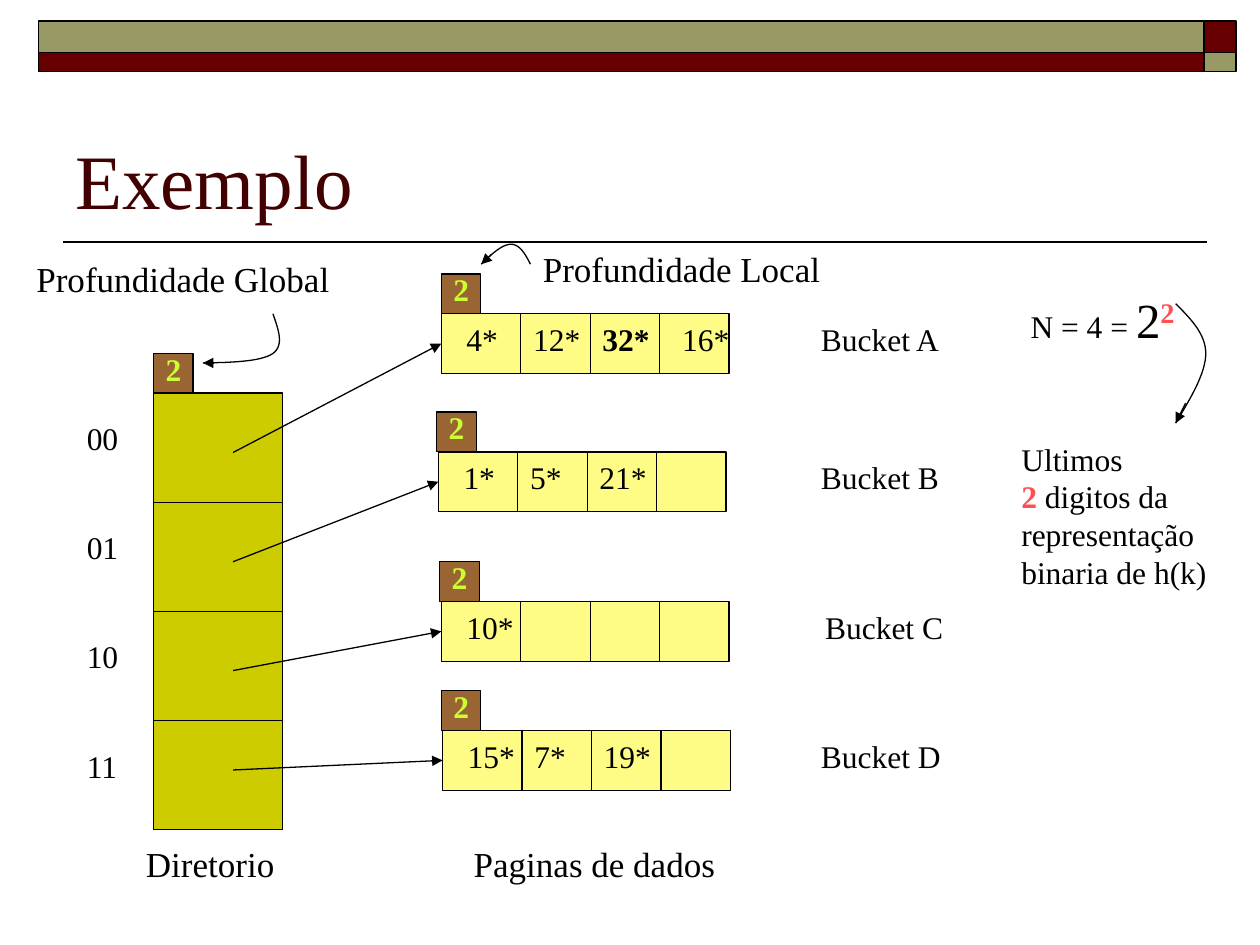
from lxml import etree
from pptx import Presentation
from pptx.dml.color import RGBColor
from pptx.enum.shapes import MSO_CONNECTOR, MSO_SHAPE
from pptx.enum.text import MSO_ANCHOR, MSO_AUTO_SIZE, PP_ALIGN
from pptx.oxml.ns import qn
from pptx.util import Pt

RECT = MSO_SHAPE.RECTANGLE
STRAIGHT = MSO_CONNECTOR.STRAIGHT
TOP, MIDDLE, BOTTOM = MSO_ANCHOR.TOP, MSO_ANCHOR.MIDDLE, MSO_ANCHOR.BOTTOM
LEFT, CENTER = PP_ALIGN.LEFT, PP_ALIGN.CENTER
FIT_SHAPE = MSO_AUTO_SIZE.SHAPE_TO_FIT_TEXT
LEFT_SIDE = 1

THEME = {
    "font": "Times New Roman",
    "ink": "000000", "title": "420000", "maroon": "660000", "olive": "999966",
    "directory": "CCCC00", "page": "FFFC85", "badge": "996633",
    "depth": "CCFF33", "accent": "FF5050",
    "title_size": 44, "power_size": 28, "caption_size": 20, "body_size": 18,
    "rule": 1, "thin": 0.75,
}
BODY, CAPTION = THEME["body_size"], THEME["caption_size"]

# Header bands: left, top, width, height, colour
BANDS = [
    (688.2, 12, 18, 18, "maroon"),
    (22, 12, 666.2, 18, "olive"),
    (22, 30, 666.2, 11, "maroon"),
    (688.2, 30, 18, 11, "olive"),
]

# Directory entries: code, height at which the pointer starts
DIRECTORY = [("00", 258.6), ("01", 321), ("10", 383.2), ("11", 440)]
DIR_LEFT, DIR_TOP, DIR_WIDTH, ROW_HEIGHT = 87.8, 224.6, 73.7, 62.4
POINTER_X = 133.2

# Buckets: name, left, top, badge left, name left, keys
BUCKETS = [
    ("Bucket A", 252.2, 179.2, 252.2, 462, ["4*", "12*", "32*", "16*"]),
    ("Bucket B", 250.5, 258.2, 249.6, 462, ["1*", "5*", "21*"]),
    ("Bucket C", 252.2, 343.7, 251.3, 464.4, ["10*"]),
    ("Bucket D", 252.9, 417.4, 252.2, 462, ["15*", "7*", "19*"]),
]
NEW_KEY = "32*"
PAGE_WIDTH, PAGE_HEIGHT = 164.4, 34.2
FIRST_DIVIDER, DIVIDER_STEP = 45.4, 39.7
KEY_OFFSETS = (7.3, 45.4, 85, 130.5)
BADGE_WIDTH, BADGE_HEIGHT = 22.6, 22.7
DEPTH = "2"

# Captions: text, left, top, width
CAPTIONS = [
    ("Diretorio", 76.3, 478, 90),
    ("Profundidade Global", 13.7, 143.5, 184),
    ("Paginas de dados", 263.6, 478, 154),
    ("Profundidade Local", 303.1, 137.7, 175),
]

# Curved arrows: start, Bezier segments, start of the arrowhead
CURVES = [
    ((156, 179.3), [((159, 188), (162.6, 197.3), (156, 202)),
                    ((149.4, 206.6), (132.6, 207.2), (116, 207.4))], (121.7, 207.4)),
    ((303.1, 151), [((300.3, 145.3), (297, 139.6), (292, 139.6)),
                    ((287, 139.6), (280.8, 145.3), (275, 151))], (280.8, 145.4)),
    ((671.8, 173.5), [((680.4, 182.2), (689, 190.8), (689, 202)),
                      ((689, 213.2), (680.4, 227.5), (671.8, 241.8))], (677.5, 230.4)),
]
CURVE_STEPS = 16

ACCENT = {"color": "accent", "bold": True}
FORMULA = [[("N = 4 = ", {}),
            ("2", {"size": THEME["power_size"]}),
            ("2", {"size": THEME["power_size"], "superscript": True, **ACCENT})]]
EXPLANATION = [[("Ultimos", {})],
               [("2 ", ACCENT), ("digitos da", {})],
               [("representação", {})],
               [("binaria de h(k)", {})]]


def rgb(name):
    return RGBColor.from_string(THEME[name])


def write(frame, content, size=BODY, color="ink", bold=False, align=LEFT,
          anchor=TOP, insets=(7.2, 3.6, 7.2, 3.6), wrap=False):
    """Fill a frame with a string or with paragraphs of (text, format) runs."""
    frame.word_wrap = wrap
    frame.vertical_anchor = anchor
    (frame.margin_left, frame.margin_top,
     frame.margin_right, frame.margin_bottom) = map(Pt, insets)
    paragraphs = [[(content, {})]] if isinstance(content, str) else content
    for i, runs in enumerate(paragraphs):
        paragraph = frame.add_paragraph() if i else frame.paragraphs[0]
        paragraph.alignment = align
        for text, style in runs:
            run = paragraph.add_run()
            run.text = text
            run.font.name = THEME["font"]
            run.font.size = Pt(style.get("size", size))
            run.font.bold = style.get("bold", bold)
            run.font.color.rgb = rgb(style.get("color", color))
            if style.get("superscript"):
                run.font._element.set("baseline", "30000")


def add_label(slide, content, left, top, width, height=28.8, **style):
    box = slide.shapes.add_textbox(Pt(left), Pt(top), Pt(width), Pt(height))
    write(box.text_frame, content, **style)
    if not style.get("wrap"):
        box.text_frame.auto_size = FIT_SHAPE


def add_box(slide, left, top, width, height, fill, weight=THEME["thin"]):
    box = slide.shapes.add_shape(RECT, Pt(left), Pt(top), Pt(width), Pt(height))
    box.shadow.inherit = False
    box.fill.solid()
    box.fill.fore_color.rgb = rgb(fill)
    box.line.color.rgb = rgb("ink")
    box.line.width = Pt(weight)
    return box


def add_line(slide, start, end, weight=THEME["thin"], arrow=False):
    line = slide.shapes.add_connector(STRAIGHT, *map(Pt, start + end))
    line.line.color.rgb = rgb("ink")
    line.line.width = Pt(weight)
    if arrow:
        etree.SubElement(line.line._get_or_add_ln(), qn("a:tailEnd"), type="triangle")
    etree.SubElement(line._element.spPr, qn("a:effectLst"))
    return line


def bezier_points(start, segments):
    for c1, c2, end in segments:
        for step in range(1, CURVE_STEPS + 1):
            t = step / CURVE_STEPS
            u = 1 - t
            yield tuple(Pt(u**3 * a + 3 * u * u * t * b + 3 * u * t * t * c + t**3 * d)
                        for a, b, c, d in zip(start, c1, c2, end))
        start = end


def add_curved_arrow(slide, start, segments, head_start):
    builder = slide.shapes.build_freeform(*map(Pt, start))
    builder.add_line_segments(list(bezier_points(start, segments)), close=False)
    curve = builder.convert_to_shape()
    curve.shadow.inherit = False
    curve.fill.background()
    curve.line.color.rgb = rgb("ink")
    curve.line.width = Pt(THEME["thin"])
    add_line(slide, head_start, segments[-1][-1], arrow=True)


def add_depth_badge(slide, left, base):
    badge = add_box(slide, left, base - BADGE_HEIGHT, BADGE_WIDTH, BADGE_HEIGHT, "badge")
    write(badge.text_frame, DEPTH, color="depth", bold=True, align=CENTER,
          anchor=MIDDLE, insets=(0, 0, 0, 5.4))


def add_directory(slide):
    add_box(slide, DIR_LEFT, DIR_TOP, DIR_WIDTH, ROW_HEIGHT * len(DIRECTORY), "directory")
    for i, (code, _) in enumerate(DIRECTORY):
        row_top = DIR_TOP + i * ROW_HEIGHT
        if i:
            add_line(slide, (DIR_LEFT, row_top), (DIR_LEFT + DIR_WIDTH, row_top))
        add_label(slide, code, 42.5, row_top + 11.3, 34)
    add_depth_badge(slide, DIR_LEFT, DIR_TOP)


def add_bucket(slide, name, left, top, badge_left, name_left, keys):
    page = add_box(slide, left, top, PAGE_WIDTH, PAGE_HEIGHT, "page")
    for i in range(3):
        x = left + FIRST_DIVIDER + i * DIVIDER_STEP
        add_line(slide, (x, top), (x, top + PAGE_HEIGHT))
    for key, offset in zip(keys, KEY_OFFSETS):
        add_label(slide, key, left + offset, top, 15.4 + 9 * len(key), bold=key == NEW_KEY)
    add_depth_badge(slide, badge_left, top)
    add_label(slide, name, name_left, top, 85)
    return page


def main():
    deck = Presentation()
    deck.slide_width, deck.slide_height = Pt(720), Pt(540)
    slide = deck.slides.add_slide(deck.slide_layouts[6])

    add_line(slide, (689.8, 138.2), (36, 138.2), weight=THEME["rule"])
    for *place, color in BANDS:
        add_box(slide, *place, color, weight=THEME["rule"])
    add_label(slide, "Exemplo", 36, 42, 648, 90, size=THEME["title_size"],
              color="title", anchor=BOTTOM, wrap=True)

    add_directory(slide)
    pages = [add_bucket(slide, *bucket) for bucket in BUCKETS]
    for (_, start_y), page, bucket in zip(DIRECTORY, pages, BUCKETS):
        end = (bucket[1], bucket[2] + PAGE_HEIGHT / 2)
        pointer = add_line(slide, (POINTER_X, start_y), end, arrow=True)
        pointer.end_connect(page, LEFT_SIDE)

    for text, left, top, width in CAPTIONS:
        add_label(slide, text, left, top, width, 31.5, size=CAPTION)
    for curve in CURVES:
        add_curved_arrow(slide, *curve)
    add_label(slide, FORMULA, 581.8, 162, 100, 41)
    add_label(slide, EXPLANATION, 576.5, 247.7, 123, 93.6)

    deck.save("out.pptx")


if __name__ == "__main__":
    main()
